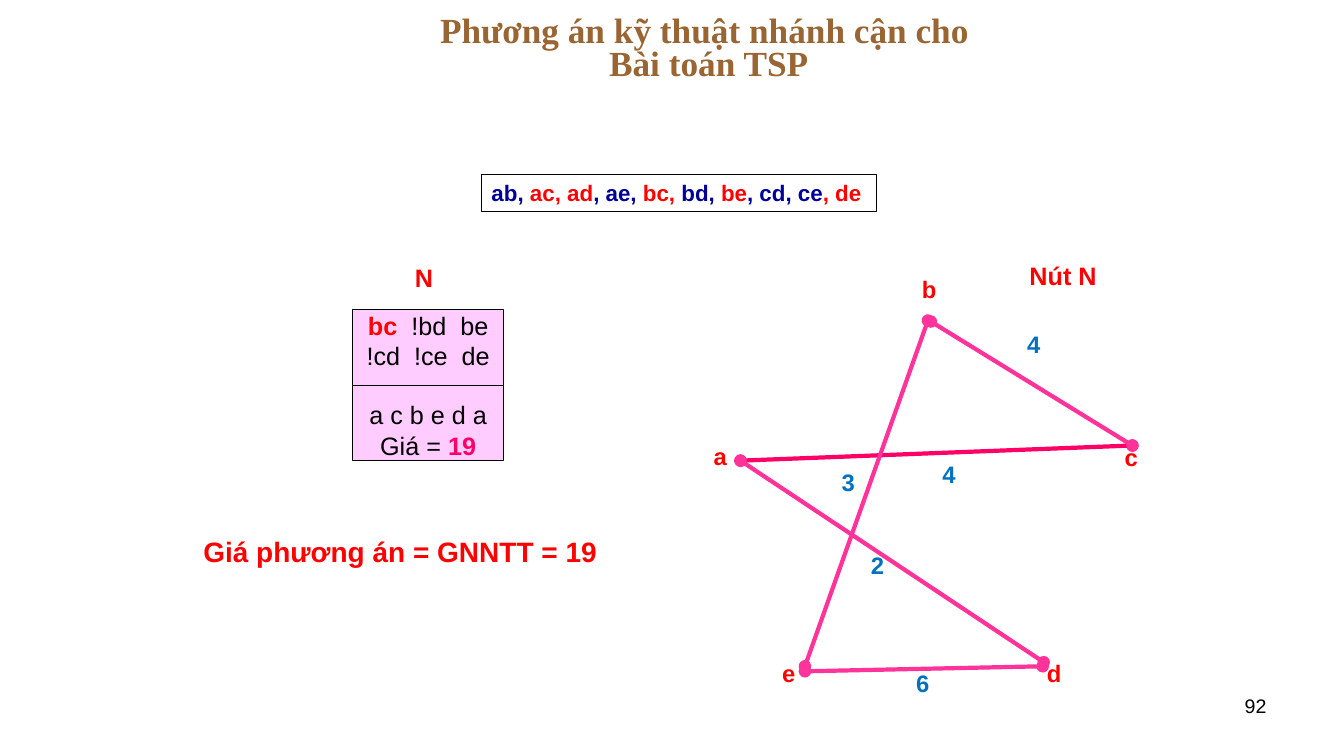
import pptx
import pptx.dml.color
import pptx.enum.shapes
import pptx.enum.text
import pptx.oxml
import pptx.oxml.ns
import pptx.util
from pptx.util import Inches

COLORS = {
    "red": "FF0000", "navy": "000099", "blue": "0070C0", "black": "000000",
    "brown": "996633", "rose": "FF0066", "pink": "FF3399", "pale": "FFCCFF",
}
RGB = {name: pptx.dml.color.RGBColor.from_string(code) for name, code in COLORS.items()}
ALIGN = pptx.enum.text.PP_ALIGN
ANCHOR = pptx.enum.text.MSO_ANCHOR
RECT = pptx.enum.shapes.MSO_SHAPE.RECTANGLE

deck = pptx.Presentation()
deck.slide_width, deck.slide_height = Inches(13.34), Inches(7.5)
slide = deck.slides.add_slide(deck.slide_layouts[6])
shapes = slide.shapes


def write(shape, lines, size, align=ALIGN.LEFT, face="Arial", pad=0.1, space=1.0):
    """Fill a shape with lines, each a list of (text, colour, bold) runs."""
    frame = shape.text_frame
    layout = {
        "word_wrap": True, "vertical_anchor": ANCHOR.TOP,
        "margin_left": Inches(pad), "margin_right": Inches(pad),
        "margin_top": Inches(pad / 2), "margin_bottom": Inches(pad / 2),
    }
    for key, value in layout.items():
        setattr(frame, key, value)
    for index, line in enumerate(lines):
        para = frame.add_paragraph() if index else frame.paragraphs[0]
        para.alignment, para.line_spacing = align, space
        for text, color, bold in line:
            if text == "\n":
                para.add_line_break()
                continue
            run = para.add_run()
            run.text = text
            for key, value in {"name": face, "size": pptx.util.Pt(size), "bold": bold}.items():
                setattr(run.font, key, value)
            run.font.color.rgb = RGB[color]
    return frame


def link(start, end, color, width, dots=False):
    """Draw a straight line, with round ends if dots is set."""
    line = shapes.add_connector(
        pptx.enum.shapes.MSO_CONNECTOR.STRAIGHT, *map(Inches, start + end))
    line.line.color.rgb = RGB[color]
    line.line.width = pptx.util.Pt(width)
    if dots:
        for tag in ("a:headEnd", "a:tailEnd"):
            oval = pptx.oxml.parse_xml(f'<{tag} {pptx.oxml.ns.nsdecls("a")} type="oval"/>')
            line.line._get_or_add_ln().append(oval)
    line._element.spPr.append(
        pptx.oxml.parse_xml(f'<a:effectLst {pptx.oxml.ns.nsdecls("a")}/>'))
    return line


# Title
title = shapes.add_textbox(Inches(2.91), Inches(0.11), Inches(8.25), Inches(1.03))
heading = [("Phương án kỹ thuật nhánh cận cho ", "brown", True), ("\n", "brown", True),
           ("Bài toán TSP", "brown", True)]
write(title, [heading], 25.2, ALIGN.CENTER, "Times New Roman", space=0.8)

# Edge list and node box
frames = []
for left, top, width, height in ((4.78, 1.73, 3.92, 0.37), (3.5, 3.07, 1.5, 1.5)):
    box = shapes.add_shape(RECT, Inches(left), Inches(top), Inches(width), Inches(height))
    box.shadow.inherit = False
    box.fill.background()
    box.line.color.rgb = RGB["black"]
    box.line.width = pptx.util.Pt(0.75)
    frames.append(box)
edges, node = frames

write(edges, [[
    ("ab, ", "navy", True), ("ac, ad", "red", True), (", ae, ", "navy", True),
    ("bc, ", "red", True), ("bd,", "navy", True), (" be", "red", True),
    (", cd, ce", "navy", True), (", de", "red", True),
]], 16)

node.fill.solid()
node.fill.fore_color.rgb = RGB["pale"]
body = write(node, [
    [("bc", "red", True), ("  !bd  be", "black", False)],
    [("!cd  !ce  de", "black", False)],
    [("a c b e d a", "black", False)],
    [("Giá = ", "black", False), ("19", "rose", True)],
], 18, ALIGN.CENTER)
body.word_wrap = False
body.vertical_anchor = ANCHOR.MIDDLE
body.paragraphs[2].space_before = pptx.util.Pt(21)
rule = link((3.5, 3.82), (5, 3.82), "black", 0.75)
rule.begin_connect(node, 1)
rule.end_connect(node, 3)

# Tour
for start, end, color in (
    ((7.35, 4.57), (11.24, 4.42), "rose"),
    ((7.99, 6.61), (9.21, 3.18), "pink"),
    ((7.35, 4.57), (10.36, 6.57), "pink"),
    ((9.24, 3.19), (11.24, 4.42), "pink"),
    ((7.99, 6.66), (10.35, 6.61), "pink"),
):
    link(start, end, color, 3, dots=True)

# Vertex names and edge costs
marks = {
    "red": (("a", 7.08, 4.41), ("b", 9.15, 2.76), ("c", 11.16, 4.42),
            ("d", 10.39, 6.57), ("e", 7.76, 6.57)),
    "blue": (("2", 8.64, 5.5), ("4", 9.35, 4.59), ("6", 9.09, 6.67),
             ("4", 10.19, 3.3), ("3", 8.35, 4.67)),
}
for color, group in marks.items():
    for text, left, top in group:
        mark = shapes.add_textbox(Inches(left), Inches(top), Inches(0.14), Inches(0.31))
        write(mark, [[(text, color, True)]], 17, ALIGN.CENTER, pad=0, space=0.9)

# Captions and page number
for text, left, top, width, height, size, color, bold, align in (
    ("Nút N", 10.12, 2.53, 0.95, 0.4, 18, "red", True, ALIGN.LEFT),
    ("N", 4.02, 2.55, 0.42, 0.4, 18, "red", True, ALIGN.LEFT),
    ("Giá phương án = GNNTT = 19", 1.92, 5.25, 4.8, 0.44, 20, "red", True, ALIGN.LEFT),
    ("92", 9.56, 6.83, 3.11, 0.52, 14, "black", False, ALIGN.RIGHT),
):
    note = shapes.add_textbox(Inches(left), Inches(top), Inches(width), Inches(height))
    write(note, [[(text, color, bold)]], size, align)

deck.save("out.pptx")
